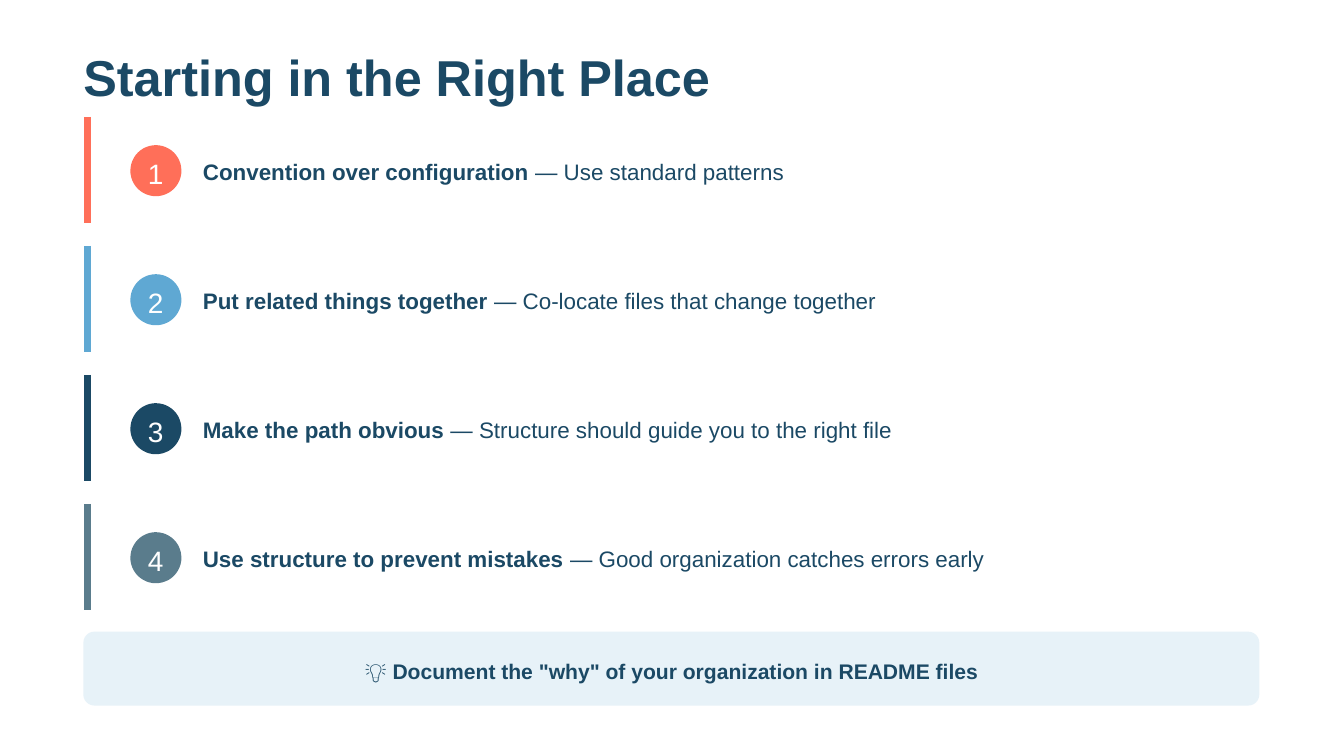
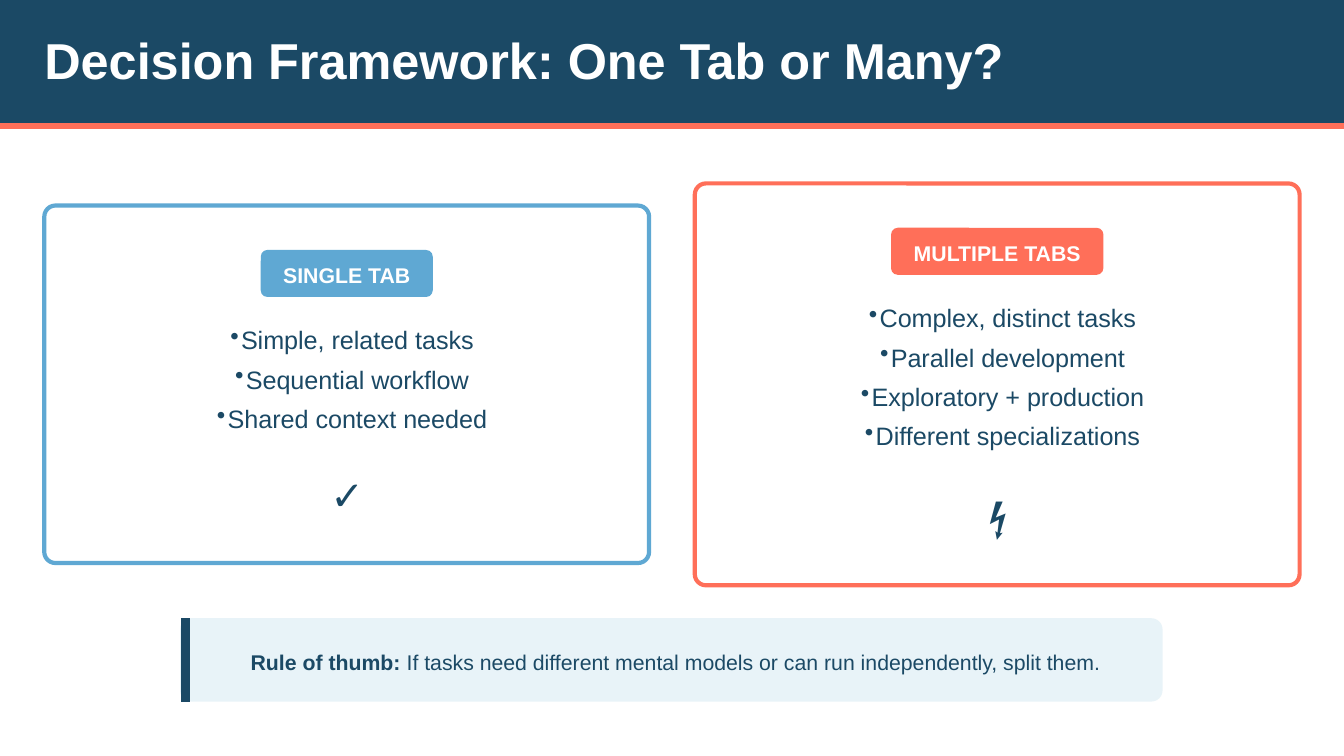
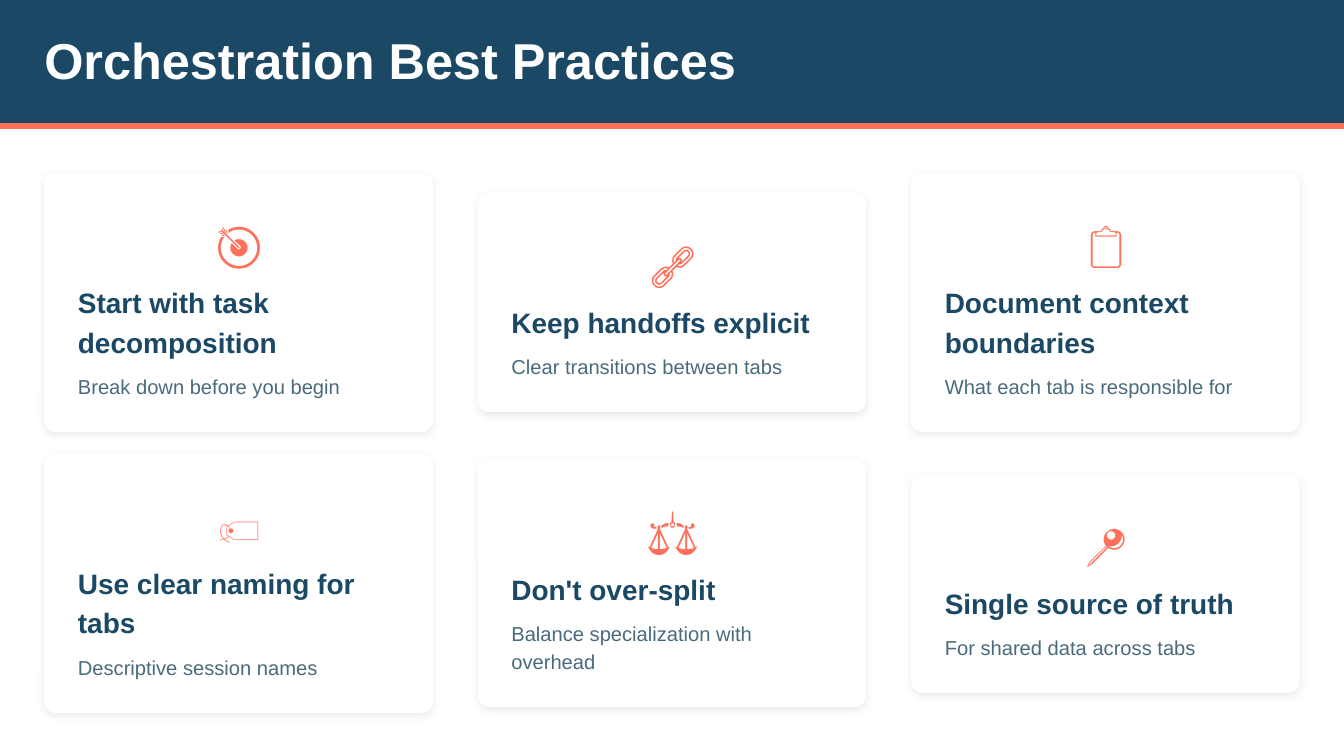
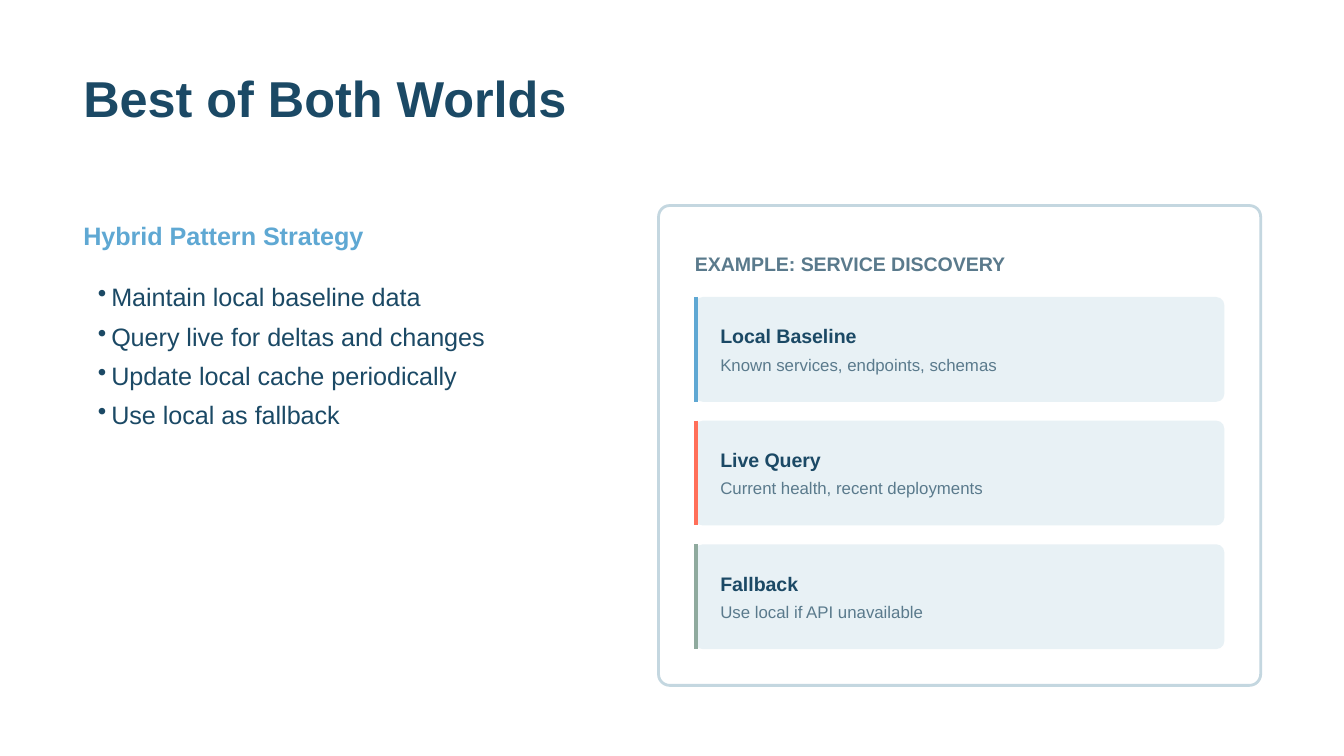
from typing import NamedTuple

from lxml import etree
from pptx import Presentation
from pptx import util as u
from pptx.dml.color import RGBColor
from pptx.enum import shapes, text
from pptx.oxml import ns

COLORS = {
    "navy": "1B4965",
    "sky": "5FA8D3",
    "coral": "FF6F59",
    "slate": "5A7C8C",
    "muted": "5A7A8C",
    "caption": "4A6B7C",
    "sage": "8FAA9E",
    "mist": "E8F3F8",
    "ice": "E8F1F5",
    "frame": "C4D7E0",
    "white": "FFFFFF",
}
FONT = "Arial"
CENTER = text.PP_ALIGN.CENTER
RADIUS = 0.083


def style(size, color, spacing, bold=False, **para):
    return {
        "font": {"name": FONT, "size": u.Pt(size), "bold": bold},
        "color": color,
        "para": {"line_spacing": u.Pt(spacing), **para},
    }


STYLES = {
    "title": style(27, "navy", 30, True, space_after=u.Pt(24)),
    "tight_title": style(27, "navy", 27, True),
    "band_title": style(27, "white", 30, True),
    "number": style(15, "white", 21),
    "principle": style(12, "navy", 16.8, space_before=u.Pt(4.5)),
    "tip": style(11.25, "navy", 15.75, True, alignment=CENTER),
    "badge": style(11.4, "white", 16, True, alignment=CENTER),
    "choice": style(13.5, "navy", 21, alignment=CENTER),
    "mark": style(21.6, "navy", 30.2, alignment=CENTER, space_before=u.Pt(9.6)),
    "rule": style(11.4, "navy", 16, alignment=CENTER),
    "icon": style(24, "coral", 33.6, alignment=CENTER, space_after=u.Pt(6)),
    "card_title": style(15, "navy", 21, True, space_after=u.Pt(6)),
    "card_note": style(10.8, "caption", 15.1),
    "subtitle": style(13.5, "sky", 21, True, space_before=u.Pt(3), space_after=u.Pt(12)),
    "bullet": style(13.5, "navy", 21),
    "example": style(10.5, "muted", 15, True, space_before=u.Pt(3), space_after=u.Pt(12)),
    "source": style(10.5, "navy", 15, True),
    "source_note": style(9, "muted", 12, space_before=u.Pt(2.4), space_after=u.Pt(3)),
}


class Box(NamedTuple):
    left: float
    top: float
    width: float
    height: float

    def inside(self, left, top, width, height):
        return Box(self.left + left, self.top + top, width, height)

    def inches(self):
        return [u.Inches(length) for length in self]


def set_all(target, values):
    for name, value in values.items():
        setattr(target, name, value)


def rgb(name):
    return RGBColor.from_string(COLORS[name])


def add_xml(parent, tag, **values):
    child = etree.SubElement(parent, ns.qn(tag))
    for name, value in values.items():
        child.set(name, str(value))
    return child


def add_block(page, box, fill, radius=0, line=None, alpha=None):
    kinds = shapes.MSO_SHAPE
    kind = kinds.ROUNDED_RECTANGLE if radius else kinds.RECTANGLE
    block = page.shapes.add_shape(kind, *box.inches())
    block.shadow.inherit = False
    if radius:
        block.adjustments[0] = radius / min(box.width, box.height)
    block.fill.solid()
    block.fill.fore_color.rgb = rgb(fill)
    if alpha:
        color = block._element.spPr.find(".//" + ns.qn("a:srgbClr"))
        add_xml(color, "a:alpha", val=alpha * 1000)
    if line:
        color, width = line
        block.line.color.rgb = rgb(color)
        block.line.width = u.Pt(width)
    else:
        block.line.fill.background()
    return block


def add_soft_shadow(block):
    effects = block._element.spPr.find(ns.qn("a:effectLst"))
    shadow = add_xml(effects, "a:outerShdw", blurRad=u.Pt(4.5), dist=u.Pt(1.5),
                     dir=5400000, algn="bl", rotWithShape=0)
    color = add_xml(shadow, "a:srgbClr", val="000000")
    add_xml(color, "a:alpha", val=8000)


def add_line(page, start, end, color, width):
    ends = [u.Inches(length) for length in (*start, *end)]
    line = page.shapes.add_connector(shapes.MSO_CONNECTOR.STRAIGHT, *ends)
    line.line.color.rgb = rgb(color)
    line.line.width = u.Pt(width)
    add_xml(line._element.spPr, "a:effectLst")


def add_edge(page, box, offset, color, width):
    x = box.left + offset
    add_line(page, (x, box.top), (x, box.top + box.height), color, width)


def add_text(page, box, name, *lines, indent=0):
    look = STYLES[name]
    frame = page.shapes.add_textbox(*box.inches()).text_frame
    set_all(frame, {
        "word_wrap": True,
        "margin_left": u.Inches(indent),
        "margin_top": 0,
        "margin_right": 0,
        "margin_bottom": 0,
    })
    for index, line in enumerate(lines):
        para = frame.paragraphs[0] if index == 0 else frame.add_paragraph()
        set_all(para, look["para"])
        pieces = [(line, look["font"]["bold"])] if isinstance(line, str) else line
        for words, bold in pieces:
            span = para.add_run()
            span.text = words
            set_all(span.font, {**look["font"], "bold": bold})
            span.font.color.rgb = rgb(look["color"])
        if indent:
            props = para._p.get_or_add_pPr()
            props.set("marL", str(u.Inches(indent)))
            props.set("indent", str(-u.Inches(indent)))
            add_xml(props, "a:buSzPct", val=100000)
            add_xml(props, "a:buChar", char="•")


def add_page(deck):
    return deck.slides.add_slide(deck.slide_layouts[6])


def add_band(page, title, width):
    add_block(page, Box(0, 0, 10, 0.96), "navy")
    add_line(page, (0, 0.94), (10, 0.94), "coral", 3)
    add_text(page, Box(0.33, 0.25, width, 0.42), "band_title", title)


def add_principle(page, box, number, color, lead, rest, width):
    add_block(page, box, "white", RADIUS)
    add_edge(page, box, 0.03, color, 3.75)
    add_block(page, box.inside(0.35, 0.21, 0.38, 0.38), color, 0.19)
    add_text(page, box.inside(0.48, 0.25, 0.12, 0.29), "number", str(number))
    add_text(page, box.inside(0.89, 0.27, width, 0.23), "principle",
             [(lead, True), (" — " + rest, False)])


def build_principles(deck):
    page = add_page(deck)
    add_text(page, Box(0.62, 0.42, 4.77, 0.38), "tight_title", "Starting in the Right Place")
    principles = [
        ("coral", "Convention over configuration", "Use standard patterns", 4.41),
        ("sky", "Put related things together", "Co-locate files that change together", 5.11),
        ("navy", "Make the path obvious", "Structure should guide you to the right file", 5.23),
        ("slate", "Use structure to prevent mistakes", "Good organization catches errors early", 5.93),
    ]
    area = Box(0.62, 0.87, 8.75, 3.67)
    height = 0.79
    pitch = (area.height - height) / (len(principles) - 1)
    for index, principle in enumerate(principles):
        row = area.inside(0, index * pitch, area.width, height)
        add_principle(page, row, index + 1, *principle)
    tip = Box(0.62, 4.7, 8.75, 0.55)
    add_block(page, tip, "sky", RADIUS, alpha=15)
    add_text(page, tip.inside(0.21, 0.17, 8.33, 0.22), "tip",
             '💡 Document the "why" of your organization in README files')


def add_choice(page, box, color, label, label_width, items, mark):
    add_block(page, box, "white", RADIUS, (color, 2.25))
    badge = box.inside((box.width - label_width) / 2, 0.33, label_width, 0.35)
    add_block(page, badge, color, 0.05)
    add_text(page, badge.inside(0.15, 0.06, label_width - 0.3, 0.22), "badge", label)
    add_text(page, box.inside(0.33, 0.82, 3.84, 0.32 * len(items)), "choice", *items, indent=0.08)
    add_text(page, box.inside(0.3, box.height - 0.75, 3.91, 0.42), "mark", mark)


def build_decision(deck):
    page = add_page(deck)
    add_band(page, "Decision Framework: One Tab or Many?", 7.29)
    choices = [
        ("sky", "SINGLE TAB", 1.28,
         ["Simple, related tasks", "Sequential workflow", "Shared context needed"], "✓"),
        ("coral", "MULTIPLE TABS", 1.58,
         ["Complex, distinct tasks", "Parallel development",
          "Exploratory + production", "Different specializations"], "⚡"),
    ]
    middle = 2.86
    for index, choice in enumerate(choices):
        height = 1.67 + 0.33 * len(choice[3])
        panel = Box(0.33 + 4.84 * index, middle - height / 2, 4.5, height)
        add_choice(page, panel, *choice)
    rule = Box(1.34, 4.6, 7.31, 0.62)
    add_block(page, rule, "mist", RADIUS)
    add_edge(page, rule, 0.04, "navy", 4.5)
    add_text(page, rule.inside(0.25, 0.2, 6.88, 0.22), "rule", [
        ("Rule of thumb:", True),
        (" If tasks need different mental models or can run independently, split them.", False),
    ])


def add_practice(page, box, icon, title, title_lines, note, note_lines):
    add_soft_shadow(add_block(page, box, "white", RADIUS))
    add_text(page, box.inside(0.23, 0.25, 2.44, 0.47), "icon", icon)
    add_text(page, box.inside(0.25, 0.8, 2.44, 0.29 * title_lines), "card_title", title)
    add_text(page, box.inside(0.25, 0.87 + 0.3 * title_lines, 2.44, 0.21 * note_lines),
             "card_note", note)


def build_practices(deck):
    page = add_page(deck)
    add_band(page, "Orchestration Best Practices", 5.26)
    practices = [
        ("🎯", "Start with task decomposition", 2, "Break down before you begin", 1),
        ("🔗", "Keep handoffs explicit", 1, "Clear transitions between tabs", 1),
        ("📋", "Document context boundaries", 2, "What each tab is responsible for", 1),
        ("🏷️", "Use clear naming for tabs", 2, "Descriptive session names", 1),
        ("⚖️", "Don't over-split", 1, "Balance specialization with overhead", 2),
        ("📍", "Single source of truth", 1, "For shared data across tabs", 1),
    ]
    margin, width, columns = 0.33, 2.89, 3
    pitch = (10 - 2 * margin - width) / (columns - 1)
    for index, practice in enumerate(practices):
        row, column = divmod(index, columns)
        height = 1.12 + 0.3 * practice[2] + 0.21 * practice[4]
        middle = 2.25 + 2.09 * row
        card = Box(margin + column * pitch, middle - height / 2, width, height)
        add_practice(page, card, *practice)


def add_source(page, box, color, name, note):
    add_block(page, box, "ice", 0.06)
    add_edge(page, box, 0.01, color, 2.25)
    add_text(page, box.inside(0.19, 0.17, 3.64, 0.21), "source", name)
    add_text(page, box.inside(0.19, 0.41, 3.64, 0.17), "source_note", note)


def add_example(page, box):
    add_block(page, box, "white", RADIUS, ("frame", 1.5))
    add_text(page, box.inside(0.27, 0.31, 4.02, 0.21), "example", "EXAMPLE: SERVICE DISCOVERY")
    sources = [
        ("sky", "Local Baseline", "Known services, endpoints, schemas"),
        ("coral", "Live Query", "Current health, recent deployments"),
        ("sage", "Fallback", "Use local if API unavailable"),
    ]
    for index, source in enumerate(sources):
        add_source(page, box.inside(0.27, 0.68 + 0.92 * index, 3.94, 0.78), *source)


def build_hybrid(deck):
    page = add_page(deck)
    add_text(page, Box(0.62, 0.53, 4.47, 0.42), "title", "Best of Both Worlds")
    add_text(page, Box(0.62, 1.57, 4.02, 0.29), "subtitle", "Hybrid Pattern Strategy")
    add_text(page, Box(0.63, 2.03, 3.94, 1.29), "bullet",
             "Maintain local baseline data",
             "Query live for deltas and changes",
             "Update local cache periodically",
             "Use local as fallback",
             indent=0.1)
    add_example(page, Box(4.9, 1.53, 4.48, 3.57))


def main():
    deck = Presentation()
    width = u.Inches(10)
    set_all(deck, {"slide_width": width, "slide_height": width * 9 // 16})
    for build in (build_principles, build_decision, build_practices, build_hybrid):
        build(deck)
    deck.save("out.pptx")


if __name__ == "__main__":
    main()
